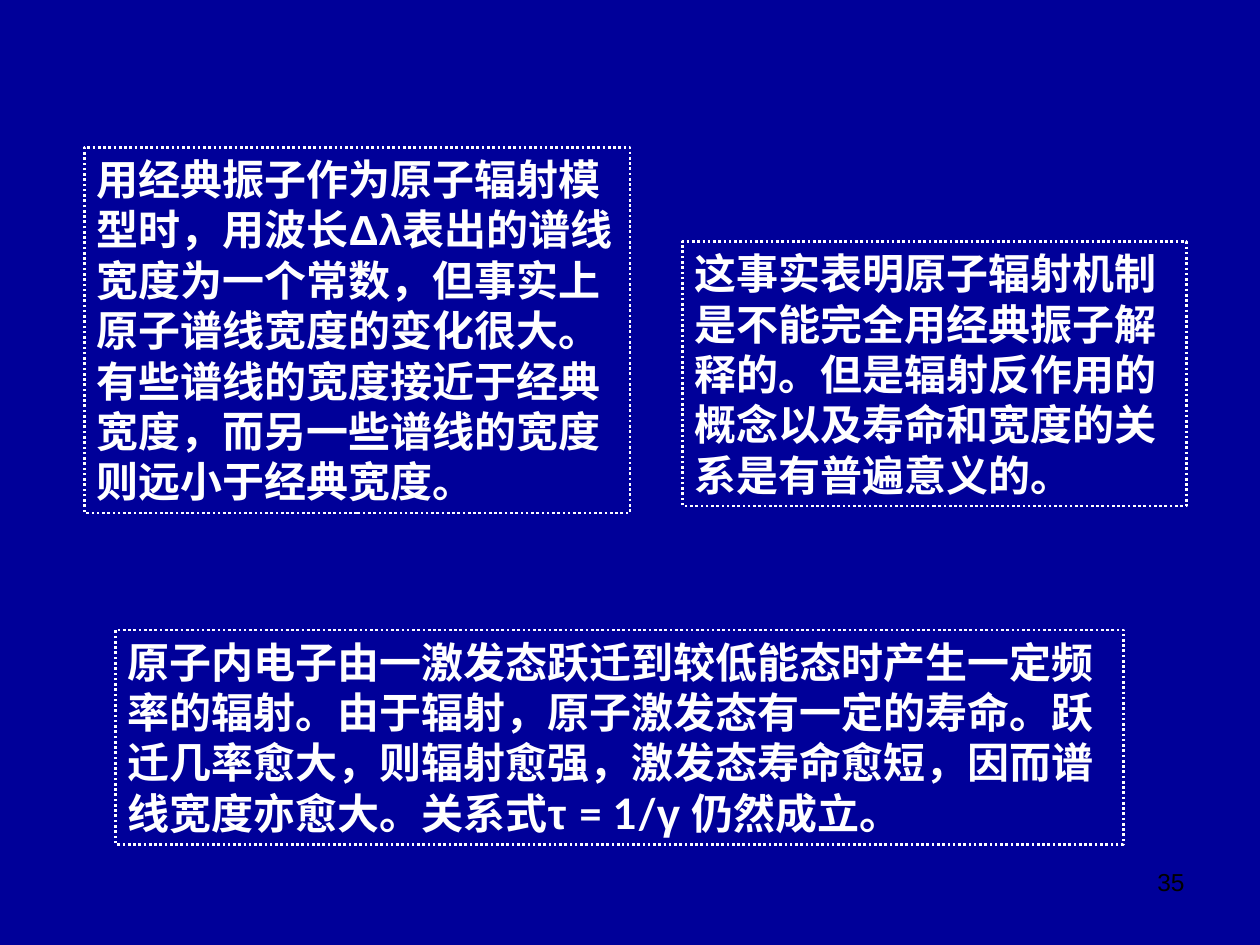
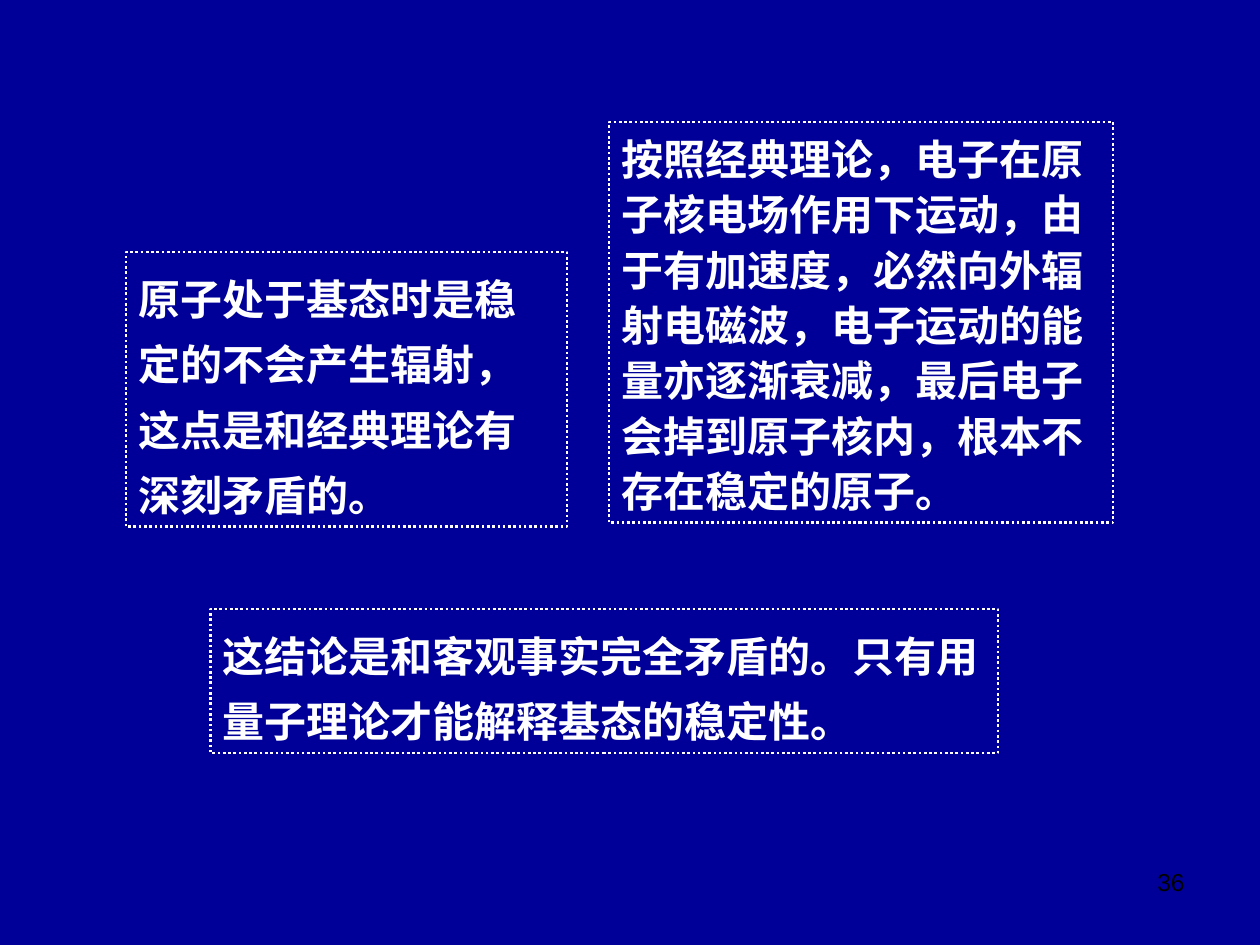
import pptx
import pptx.dml.color
import pptx.enum.dml
import pptx.enum.shapes
import pptx.enum.text
import pptx.util
from dataclasses import dataclass

Cm = pptx.util.Cm
Pt = pptx.util.Pt


@dataclass(frozen=True)
class Theme:
    background = pptx.dml.color.RGBColor(0x00, 0x00, 0x99)
    light = pptx.dml.color.RGBColor(0xFF, 0xFF, 0xFF)
    dark = pptx.dml.color.RGBColor(0x00, 0x00, 0x00)
    body_font = "Lato"
    symbol_font = "Arial"
    body_size = Pt(24)
    number_size = Pt(14)
    border = Pt(1.5)


theme = Theme()


def style_run(run, font_name, size, color, bold):
    run.font.name = font_name
    run.font.size = size
    run.font.color.rgb = color
    run.font.bold = bold


def add_statement(slide, place, line_spacing, pieces):
    """Dotted frame; every second piece of its text is a Greek symbol."""
    frame = slide.shapes.add_shape(
        pptx.enum.shapes.MSO_SHAPE.RECTANGLE, *[Cm(length) for length in place])
    frame.shadow.inherit = False
    frame.fill.background()
    frame.line.color.rgb = theme.light
    frame.line.width = theme.border
    frame.line.dash_style = pptx.enum.dml.MSO_LINE.ROUND_DOT
    body = frame.text_frame
    body.word_wrap = True
    body.auto_size = pptx.enum.text.MSO_AUTO_SIZE.SHAPE_TO_FIT_TEXT
    body.vertical_anchor = pptx.enum.text.MSO_ANCHOR.TOP
    paragraph = body.paragraphs[0]
    paragraph.alignment = pptx.enum.text.PP_ALIGN.LEFT
    paragraph.line_spacing = line_spacing
    for index, piece in enumerate(pieces):
        run = paragraph.add_run()
        run.text = piece
        font_name = theme.symbol_font if index % 2 else theme.body_font
        style_run(run, font_name, theme.body_size, theme.light, True)


# Statements per slide: (left, top, width, height) in cm, line spacing, text
line_width_statements = [
    ((1.7, 2.97, 11, 7.37), 1.0, [
        "用经典振子作为原子辐射模型时，用波长", "Δλ",
        "表出的谱线宽度为一个常数，但事实上原子谱线宽度的变化很大。"
        "有些谱线的宽度接近于经典宽度，而另一些谱线的宽度则远小于经典宽度。"]),
    ((13.76, 4.87, 10.16, 5.33), 1.0, [
        "这事实表明原子辐射机制是不能完全用经典振子解释的。"
        "但是辐射反作用的概念以及寿命和宽度的关系是有普遍意义的。"]),
    ((2.33, 12.7, 20.32, 4.32), 1.0, [
        "原子内电子由一激发态跃迁到较低能态时产生一定频率的辐射。"
        "由于辐射，原子激发态有一定的寿命。跃迁几率愈大，则辐射愈强，"
        "激发态寿命愈短，因而谱线宽度亦愈大。关系式",
        "τ ", "= 1/", "γ ", "仍然成立。"]),
]
ground_state_statements = [
    ((2.54, 5.08, 8.89, 5.54), 1.3, [
        "原子处于基态时是稳定的不会产生辐射，这点是和经典理论有深刻矛盾的。"]),
    ((12.28, 2.46, 10.16, 8.08), 1.1, [
        "按照经典理论，电子在原子核电场作用下运动，由于有加速度，"
        "必然向外辐射电磁波，电子运动的能量亦逐渐衰减，"
        "最后电子会掉到原子核内，根本不存在稳定的原子。"]),
    ((4.24, 12.28, 15.88, 2.9), 1.3, [
        "这结论是和客观事实完全矛盾的。只有用量子理论才能解释基态的稳定性。"]),
]

# Presentation and the background all slides share
presentation = pptx.Presentation()
presentation.slide_width = Cm(25.4)
presentation.slide_height = Cm(19.05)
background = presentation.slide_master.background.fill
background.solid()
background.fore_color.rgb = theme.background
blank_layout = presentation.slide_layouts[6]

all_statements = [line_width_statements, ground_state_statements]
for number, statements in enumerate(all_statements, start=35):
    slide = presentation.slides.add_slide(blank_layout)

    # Framed statements
    for place, line_spacing, pieces in statements:
        add_statement(slide, place, line_spacing, pieces)

    # Page number
    page_number = slide.shapes.add_textbox(
        Cm(18.2), Cm(17.35), Cm(5.93), Cm(1.32)).text_frame
    page_number.word_wrap = True
    page_number.text = str(number)
    paragraph = page_number.paragraphs[0]
    paragraph.alignment = pptx.enum.text.PP_ALIGN.RIGHT
    style_run(paragraph.runs[0], theme.symbol_font, theme.number_size,
              theme.dark, False)

presentation.save("out.pptx")
